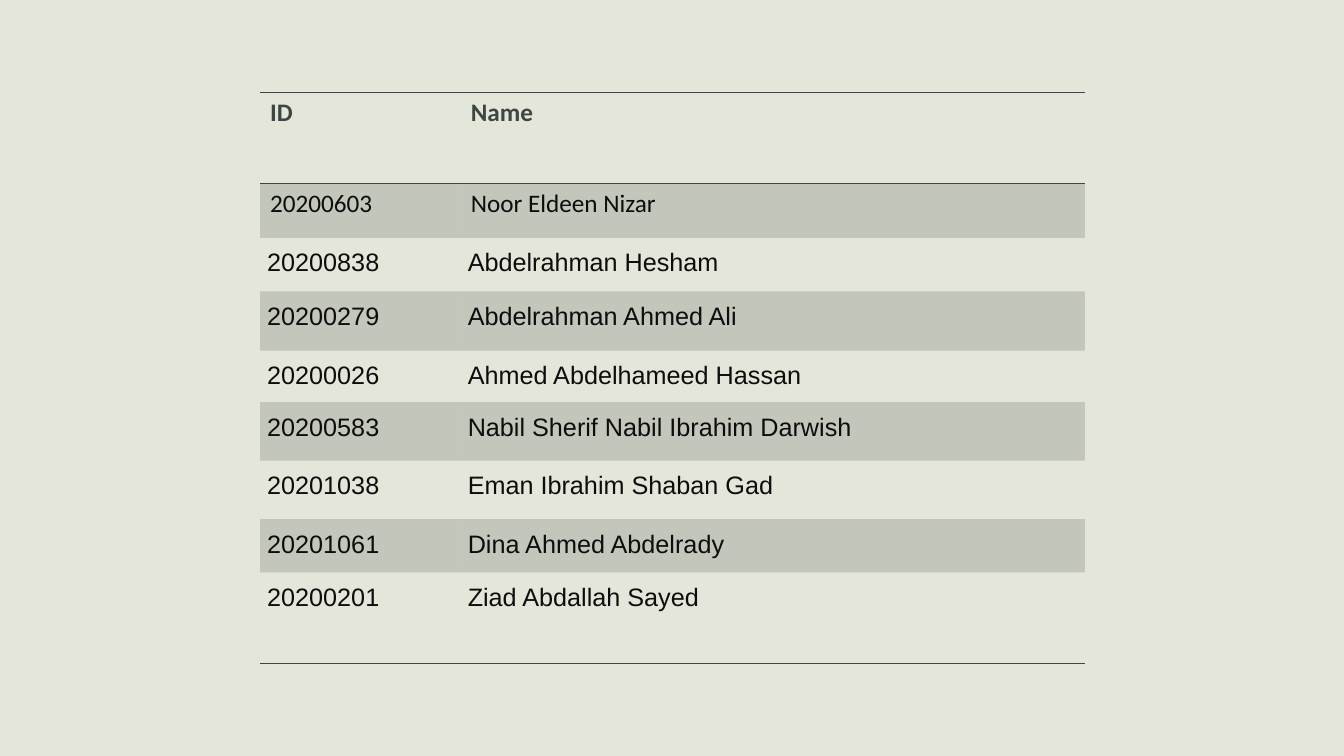
from lxml import etree
from pptx import Presentation
from pptx.dml.color import RGBColor
from pptx.oxml.ns import qn
from pptx.util import Inches, Pt

COLORS = {"back": "E5E6DA", "dark": "3C4743", "text": "0D0D0D"}
PLAIN = "{2D5ABB26-0587-4C30-8999-92F81FD0307C}"
COLS = [1.99, 6.19]
ROWS = [0.9, 0.54, 0.53, 0.59, 0.51, 0.58, 0.58, 0.53, 0.9]
TEAM = [
    ("ID", "Name"),
    ("20200603", "Noor Eldeen Nizar"),
    ("20200838", "Abdelrahman Hesham"),
    ("20200279", "Abdelrahman Ahmed Ali"),
    ("20200026", "Ahmed Abdelhameed Hassan"),
    ("20200583", "Nabil Sherif Nabil Ibrahim Darwish"),
    ("20201038", "Eman Ibrahim Shaban Gad"),
    ("20201061", "Dina Ahmed Abdelrady"),
    ("20200201", "Ziad Abdallah Sayed"),
]


def rgb(name):
    return RGBColor.from_string(COLORS[name])


def write(cell, text, font="Arial", color="text", bold=False, space=None):
    para = cell.text_frame.paragraphs[0]
    para.line_spacing = space
    run = para.add_run()
    run.text = text
    run.font.name = font
    run.font.size = Pt(18)
    run.font.bold = bold
    run.font.color.rgb = rgb(color)


def inset(cell, gap):
    cell.margin_left = cell.margin_right = gap
    cell.margin_top = cell.margin_bottom = gap


def shade(cell, band):
    if not band:
        cell.fill.background()
        return
    cell.fill.solid()
    cell.fill.fore_color.rgb = rgb("dark")
    tint = cell._tc.tcPr.find(".//" + qn("a:srgbClr"))
    etree.SubElement(tint, qn("a:alpha"), val="20000")


def rule(cell, sides):
    props = cell._tc.get_or_add_tcPr()
    for spot, side in enumerate(sides):
        line = etree.Element(qn("a:ln" + side), w=str(Pt(1)))
        fill = etree.SubElement(line, qn("a:solidFill"))
        etree.SubElement(fill, qn("a:srgbClr"), val=COLORS["dark"])
        props.insert(spot, line)


def add_team(slide):
    frame = slide.shapes.add_table(
        len(ROWS), len(COLS), Inches(2.58), Inches(0.92),
        Inches(sum(COLS)), Inches(sum(ROWS)))
    table = frame.table
    table.first_row = table.horz_banding = False
    table._tbl.tblPr.find(qn("a:tableStyleId")).text = PLAIN
    for col, width in zip(table.columns, COLS):
        col.width = Inches(width)
    for row, height in zip(table.rows, ROWS):
        row.height = Inches(height)
    last = len(TEAM) - 1
    for i, entry in enumerate(TEAM):
        for j, text in enumerate(entry):
            cell = table.cell(i, j)
            shade(cell, i % 2 == 1)
            if i == 0:
                write(cell, text, font="Calibri", color="dark", bold=True)
                rule(cell, "TB")
            elif i == 1:
                write(cell, text, font="Calibri")
            else:
                write(cell, text, space=1.15)
                inset(cell, Inches(0.07))
            if i == last:
                rule(cell, "B")


def main():
    deck = Presentation()
    deck.slide_width = Inches(13.33)
    deck.slide_height = Inches(7.5)
    slide = deck.slides.add_slide(deck.slide_layouts[6])
    slide.background.fill.solid()
    slide.background.fill.fore_color.rgb = rgb("back")
    add_team(slide)
    deck.save("out.pptx")


if __name__ == "__main__":
    main()
